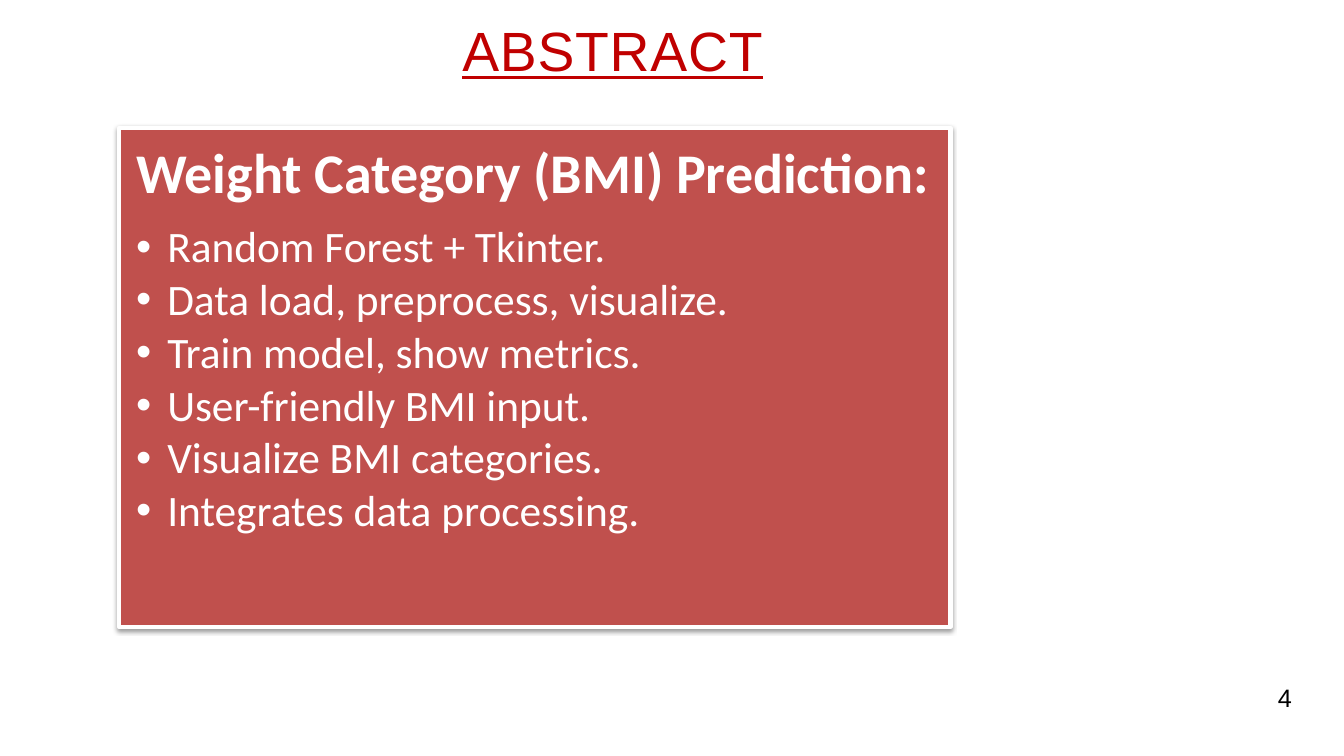
from typing import NamedTuple

from lxml.etree import SubElement
from pptx import Presentation
from pptx.dml.color import RGBColor
from pptx.enum.shapes import MSO_SHAPE
from pptx.enum.text import MSO_ANCHOR, PP_ALIGN
from pptx.oxml.ns import qn
from pptx.shapes.autoshape import Shape
from pptx.slide import Slide
from pptx.util import Inches, Pt

SLIDE_WIDTH = Inches(13.333)
SLIDE_HEIGHT = Inches(7.5)
RED = RGBColor(0xC0, 0x00, 0x00)
BRICK = RGBColor(0xC0, 0x50, 0x4D)
WHITE = RGBColor(0xFF, 0xFF, 0xFF)
BLACK = RGBColor(0x00, 0x00, 0x00)


class Area(NamedTuple):
    left: float
    top: float
    width: float
    height: float

    def lengths(self) -> tuple[int, ...]:
        sides = (SLIDE_WIDTH, SLIDE_HEIGHT) * 2
        return tuple(round(side * share / 100) for side, share in zip(sides, self))


class Line(NamedTuple):
    text: str
    font: str
    size: float
    color: RGBColor
    bold: bool = False
    underline: bool = False
    bullet: bool = False
    line_spacing: float = 1.0
    space_after: float = 0
    tracking: int = 0


TITLE = Line("ABSTRACT", "Arial", 39.5, RED, underline=True, tracking=60)
HEADING = Line("Weight Category (BMI) Prediction:", "Calibri", 40, WHITE,
               bold=True, line_spacing=0.9, space_after=14)
POINTS = [
    Line(text, "Calibri", 31, WHITE, bullet=True, line_spacing=0.9, space_after=4.2)
    for text in (
        "Random Forest + Tkinter.",
        "Data load, preprocess, visualize.",
        "Train model, show metrics.",
        "User-friendly BMI input.",
        "Visualize BMI categories.",
        "Integrates data processing.",
    )
]
PAGE_NUMBER = Line("4", "Arial", 18, BLACK)


def write_lines(shape: Shape, lines: list[Line], inset: tuple[float, float],
                anchor: MSO_ANCHOR = MSO_ANCHOR.TOP) -> None:
    frame = shape.text_frame
    frame.word_wrap = True
    frame.vertical_anchor = anchor
    frame.margin_left = frame.margin_right = Inches(inset[0])
    frame.margin_top = frame.margin_bottom = Inches(inset[1])
    for index, line in enumerate(lines):
        paragraph = frame.add_paragraph() if index else frame.paragraphs[0]
        run = paragraph.add_run()
        run.text = line.text
        paragraph.alignment = PP_ALIGN.LEFT
        paragraph.line_spacing = line.line_spacing
        paragraph.space_after = Pt(line.space_after)
        if line.bullet:
            properties = paragraph._p.get_or_add_pPr()
            properties.set("marL", str(Inches(0.31)))
            properties.set("indent", str(-Inches(0.31)))
            SubElement(properties, qn("a:buFont"), typeface="Arial")
            SubElement(properties, qn("a:buChar"), char="•")
        font = paragraph.font
        font.name = line.font
        font.size = Pt(line.size)
        font.bold = line.bold
        font.underline = line.underline
        font.color.rgb = line.color
        if line.tracking:
            run._r.get_or_add_rPr().set("spc", str(line.tracking))


def cast_shadow(shape: Shape) -> None:
    shape.shadow.inherit = False
    effects = shape._element.spPr.find(qn("a:effectLst"))
    shadow = SubElement(effects, qn("a:outerShdw"), blurRad=str(Pt(3.1)),
                        dist=str(Pt(1.6)), dir="5400000", rotWithShape="0")
    color = SubElement(shadow, qn("a:srgbClr"), val=str(BLACK))
    SubElement(color, qn("a:alpha"), val="38000")


def add_card(slide: Slide, area: Area, lines: list[Line]) -> None:
    card = slide.shapes.add_shape(MSO_SHAPE.RECTANGLE, *area.lengths())
    card.fill.solid()
    card.fill.fore_color.rgb = BRICK
    card.line.color.rgb = WHITE
    card.line.width = Pt(3)
    cast_shadow(card)
    write_lines(card, lines, (0.17, 0.17))


def add_label(slide: Slide, area: Area, line: Line, inset: tuple[float, float],
              anchor: MSO_ANCHOR) -> None:
    label = slide.shapes.add_textbox(*area.lengths())
    write_lines(label, [line], inset, anchor)


def main() -> None:
    deck = Presentation()
    deck.slide_width = SLIDE_WIDTH
    deck.slide_height = SLIDE_HEIGHT
    slide = deck.slides.add_slide(deck.slide_layouts[6])
    add_label(slide, Area(34.4, 1.73, 43.2, 9.2), TITLE, (0, 0), MSO_ANCHOR.BOTTOM)
    add_card(slide, Area(8.85, 16.93, 61.88, 66), [HEADING, *POINTS])
    add_label(slide, Area(94.35, 89.6, 2.5, 5.33), PAGE_NUMBER, (0.1, 0.05), MSO_ANCHOR.TOP)
    deck.save("out.pptx")


if __name__ == "__main__":
    main()
